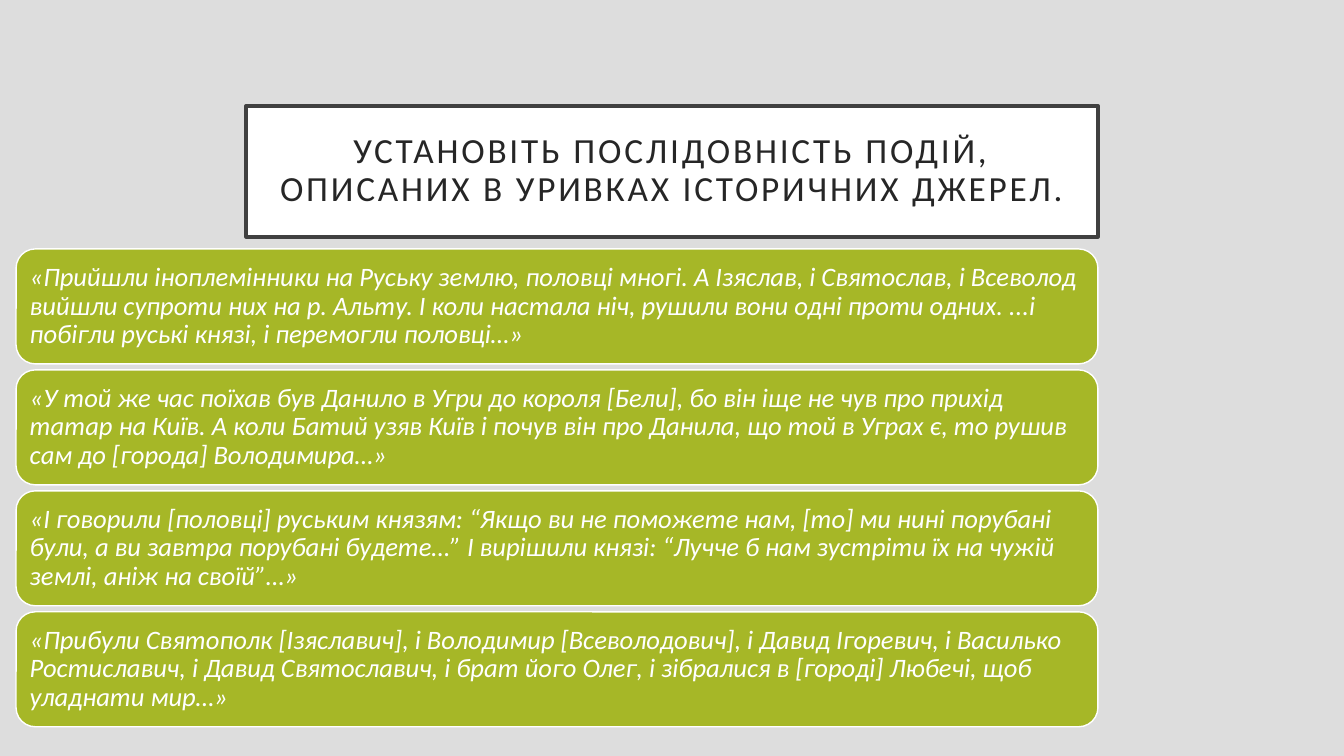
from pptx import Presentation
from pptx.dml.color import RGBColor
from pptx.enum.shapes import MSO_SHAPE
from pptx.enum.text import MSO_ANCHOR, PP_ALIGN
from pptx.util import Inches, Pt

BACKGROUND = RGBColor(0xDD, 0xDD, 0xDD)
WHITE = RGBColor(0xFF, 0xFF, 0xFF)
GREEN = RGBColor(0xA6, 0xB7, 0x27)
FRAME = RGBColor(0x40, 0x40, 0x40)
INK = RGBColor(0x26, 0x26, 0x26)

WIDTH, HEIGHT = 13.33, 7.5
RIGHT_EDGE = 10.89
TITLE_BOX = (2.44, 1.05, RIGHT_EDGE - 2.44, 1.3)
QUOTES_BOX = (0.16, 2.47, RIGHT_EDGE - 0.16, 4.74)
QUOTE_GAP = 0.06

TITLE = "УСТАНОВІТЬ ПОСЛІДОВНІСТЬ ПОДІЙ, ОПИСАНИХ В УРИВКАХ ІСТОРИЧНИХ ДЖЕРЕЛ."
QUOTES = [
    "«Прийшли іноплемінники на Руську землю, половці многі. А Ізяслав, і Святослав, "
    "і Всеволод вийшли супроти них на р. Альту. І коли настала ніч, рушили вони одні "
    "проти одних. ...і побігли руські князі, і перемогли половці…»",
    "«У той же час поїхав був Данило в Угри до короля [Бели], бо він іще не чув про "
    "прихід татар на Київ. А коли Батий узяв Київ і почув він про Данила, що той в "
    "Уграх є, то рушив сам до [города] Володимира…»",
    "«І говорили [половці] руським князям: “Якщо ви не поможете нам, [то] ми нині "
    "порубані були, а ви завтра порубані будете…” І вирішили князі: “Лучче б нам "
    "зустріти їх на чужій землі, аніж на своїй”…»",
    "«Прибули Святополк [Ізяславич], і Володимир [Всеволодович], і Давид Ігоревич, "
    "і Василько Ростиславич, і Давид Святославич, і брат його Олег, і зібралися в "
    "[городі] Любечі, щоб уладнати мир…»",
]


def add_panel(slide, kind, box, fill, line, line_width):
    shape = slide.shapes.add_shape(kind, *map(Inches, box))
    shape.shadow.inherit = False
    shape.fill.solid()
    shape.fill.fore_color.rgb = fill
    shape.line.color.rgb = line
    shape.line.width = Pt(line_width)
    return shape


def write_text(shape, text, size, color, inset, align=PP_ALIGN.LEFT, italic=False, spacing=0):
    frame = shape.text_frame
    frame.word_wrap = True
    frame.vertical_anchor = MSO_ANCHOR.MIDDLE
    frame.margin_left = frame.margin_right = Inches(inset)
    frame.margin_top = frame.margin_bottom = Inches(inset)
    paragraph = frame.paragraphs[0]
    paragraph.alignment = align
    paragraph.line_spacing = 0.9
    run = paragraph.add_run()
    run.text = text
    run.font.name = "Calibri"
    run.font.size = Pt(size)
    run.font.italic = italic
    run.font.color.rgb = color
    if spacing:
        run.font._element.set("spc", str(spacing * 100))


def add_title(slide, box):
    shape = add_panel(slide, MSO_SHAPE.RECTANGLE, box, WHITE, FRAME, 2.5)
    write_text(shape, TITLE, size=25.2, color=INK, inset=0.2, align=PP_ALIGN.CENTER, spacing=2)


def add_quotes(slide, box):
    left, top, width, height = box
    pitch = (height + QUOTE_GAP) / len(QUOTES)
    for row, quote in enumerate(QUOTES):
        quote_box = (left, top + row * pitch, width, pitch - QUOTE_GAP)
        shape = add_panel(slide, MSO_SHAPE.ROUNDED_RECTANGLE, quote_box, GREEN, WHITE, 1)
        write_text(shape, quote, size=19, color=WHITE, inset=0.08, italic=True)


def main():
    presentation = Presentation()
    presentation.slide_width = Inches(WIDTH)
    presentation.slide_height = Inches(HEIGHT)
    slide = presentation.slides.add_slide(presentation.slide_layouts[6])
    slide.background.fill.solid()
    slide.background.fill.fore_color.rgb = BACKGROUND
    add_title(slide, TITLE_BOX)
    add_quotes(slide, QUOTES_BOX)
    presentation.save("out.pptx")


if __name__ == "__main__":
    main()
